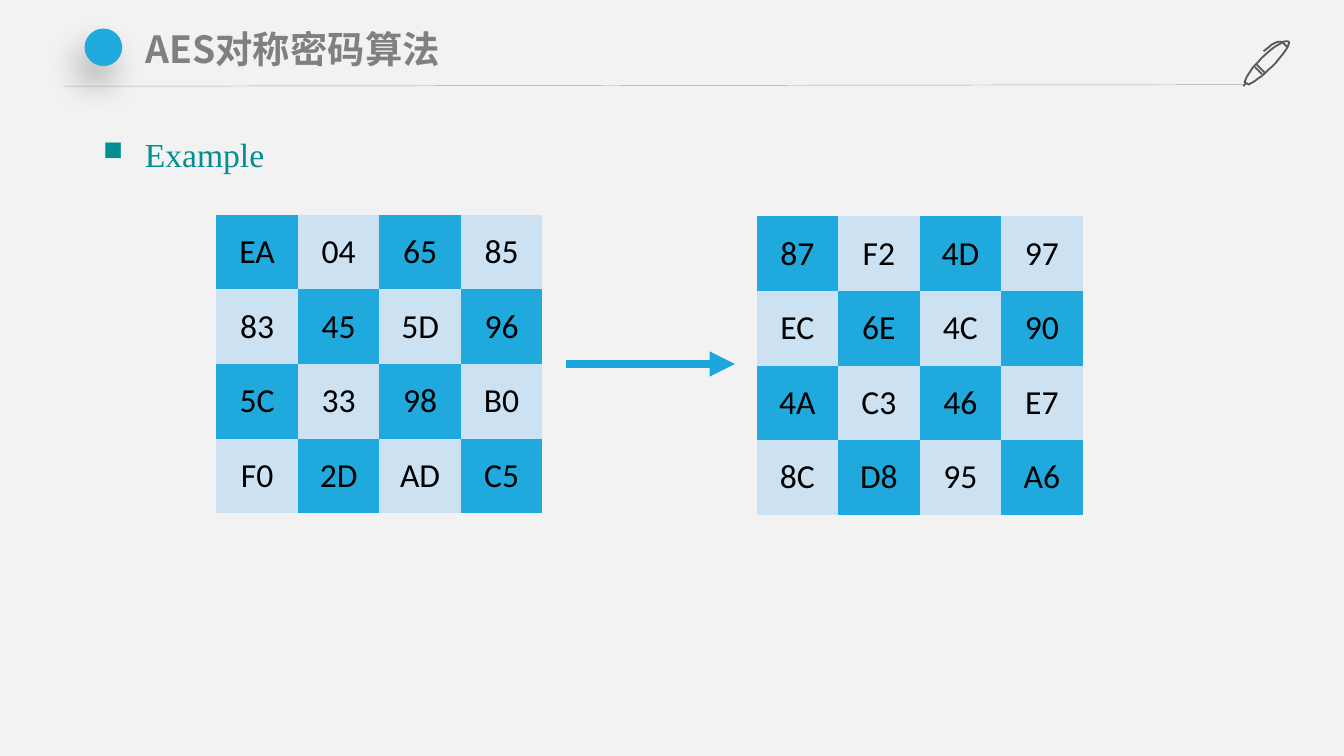
from lxml import etree
from pptx import Presentation
from pptx import util as u
from pptx.dml.color import RGBColor
from pptx.enum import shapes, text
from pptx.oxml.ns import qn

COLORS = {"back": "F2F2F2", "blue": "20A9DD", "pale": "CCE2F2", "arrow": "1BA7DD",
          "rule": "A6A6A6", "pen": "595959", "title": "808080", "teal": "008F92",
          "black": "000000"}


def add_node(parent, tag, **attributes):
    node = etree.SubElement(parent, qn(tag))
    for name, value in attributes.items():
        node.set(name, str(value))
    return node


def add_text(para, words, size, font, color, bold=False):
    span = para.add_run()
    span.text = words
    span.font.size = u.Pt(size)
    span.font.name = font
    span.font.bold = bold
    span.font.color.rgb = RGBColor.from_string(COLORS[color])
    add_node(span.font._element, "a:ea", typeface=font)


deck = Presentation()
deck.slide_width, deck.slide_height = u.Cm(25.4), u.Cm(14.29)
page = deck.slides.add_slide(deck.slide_layouts[5])
page.background.fill.solid()
page.background.fill.fore_color.rgb = RGBColor.from_string(COLORS["back"])

lines = [(1.22, 1.63, 23.5, 1.6, "rule", 0.25), (10.69, 6.88, 13.89, 6.88, "arrow", 4.5)]
for x1, y1, x2, y2, color, width in lines:
    line = page.shapes.add_connector(shapes.MSO_CONNECTOR.STRAIGHT,
                                     u.Cm(x1), u.Cm(y1), u.Cm(x2), u.Cm(y2))
    line.line.color.rgb = RGBColor.from_string(COLORS[color])
    line.line.width = u.Pt(width)
    properties = line._element.spPr
    if color == "arrow":
        add_node(properties.find(qn("a:ln")), "a:tailEnd", type="triangle")
    add_node(properties, "a:effectLst")

pen_strokes = [
    [(2436, 79), (2431, 74), (2408, 86), (2385, 109), (2367, 127), (2355, 145), (2352, 155),
     (2355, 157), (2357, 158), (2360, 160), (2367, 157), (2385, 145), (2403, 127),
     (2426, 104), (2438, 84), (2436, 79)],
    [(2433, 89), (2433, 89), (2428, 84), (2423, 79), (2423, 79), (2413, 74), (2388, 97)],
    [(2385, 140), (2372, 127)],
    [(2375, 122), (2390, 137)],
    [(2355, 157), (2350, 163)],
]
builder = page.shapes.build_freeform(*pen_strokes[0][0], scale=u.Cm(0.01))
for stroke in pen_strokes:
    points = stroke[1:]
    if len(stroke) > 2:
        points = []
        for i in range(0, len(stroke) - 1, 3):
            for step in range(1, 9):
                t = step / 8
                weights = ((1 - t) ** 3, 3 * t * (1 - t) ** 2, 3 * t * t * (1 - t), t ** 3)
                points.append([sum(w * p[axis] for w, p in zip(weights, stroke[i:i + 4]))
                               for axis in (0, 1)])
    if stroke is not pen_strokes[0]:
        builder.move_to(*stroke[0])
    builder.add_line_segments(points, close=False)
pen = builder.convert_to_shape()
pen.shadow.inherit = False
pen.fill.background()
pen.line.color.rgb = RGBColor.from_string(COLORS["pen"])
pen.line.width = u.Pt(1)

dot = page.shapes.add_shape(shapes.MSO_SHAPE.OVAL, u.Cm(1.6), u.Cm(0.54), u.Cm(0.71), u.Cm(0.71))
dot.fill.solid()
dot.fill.fore_color.rgb = RGBColor.from_string(COLORS["blue"])
dot.line.fill.background()
dot.shadow.inherit = False
shadow = add_node(dot._element.spPr.find(qn("a:effectLst")), "a:outerShdw",
                  blurRad=u.Pt(18), dist=u.Pt(11), dir=113 * 60000, rotWithShape=0)
add_node(add_node(shadow, "a:srgbClr", val=COLORS["black"]), "a:alpha", val=27000)

title = page.shapes.title
title.left, title.top, title.width, title.height = u.Cm(2.49), u.Cm(0.36), u.Cm(21), u.Cm(1.09)
title.text_frame.auto_size = text.MSO_AUTO_SIZE.SHAPE_TO_FIT_TEXT
title.text_frame.vertical_anchor = text.MSO_ANCHOR.TOP
para = title.text_frame.paragraphs[0]
para.alignment = text.PP_ALIGN.LEFT
add_text(para, "AES对称密码算法", 20, "Noto Sans CJK SC", "title", True)

box = page.shapes.add_textbox(u.Cm(1.7), u.Cm(2.18), u.Cm(22.81), u.Cm(1.17))
box.text_frame.word_wrap = True
box.text_frame.auto_size = text.MSO_AUTO_SIZE.SHAPE_TO_FIT_TEXT
para = box.text_frame.paragraphs[0]
para.line_spacing = 1.3
para.space_after = u.Pt(3)
bullet = para._p.get_or_add_pPr()
bullet.set("marL", str(u.Cm(0.79)))
bullet.set("indent", str(u.Cm(-0.79)))
add_node(add_node(bullet, "a:buClr"), "a:srgbClr", val=COLORS["teal"])
add_node(bullet, "a:buSzPct", val=80000)
add_node(bullet, "a:buChar", char="■")
add_text(para, "Example", 18, "Times New Roman", "teal")

states = [
    (4.09, 4.06, ["EA 04 65 85", "83 45 5D 96", "5C 33 98 B0", "F0 2D AD C5"]),
    (14.3, 4.09, ["87 F2 4D 97", "EC 6E 4C 90", "4A C3 46 E7", "8C D8 95 A6"]),
]
for left, top, rows in states:
    table = page.shapes.add_table(4, 4, u.Cm(left), u.Cm(top), u.Cm(6.16), u.Cm(5.64)).table
    table.first_row = table.horz_banding = False
    for r, row in enumerate(rows):
        table.rows[r].height = u.Cm(1.41)
        for c, value in enumerate(row.split()):
            table.columns[c].width = u.Cm(1.54)
            cell = table.cell(r, c)
            cell.vertical_anchor = text.MSO_ANCHOR.MIDDLE
            for side in ("a:lnL", "a:lnR", "a:lnT", "a:lnB"):
                add_node(add_node(cell._tc.get_or_add_tcPr(), side), "a:noFill")
            cell.fill.solid()
            shade = "pale" if (r + c) % 2 else "blue"
            cell.fill.fore_color.rgb = RGBColor.from_string(COLORS[shade])
            para = cell.text_frame.paragraphs[0]
            para.alignment = text.PP_ALIGN.CENTER
            add_text(para, value, 18, "Calibri", "black")

deck.save("out.pptx")
